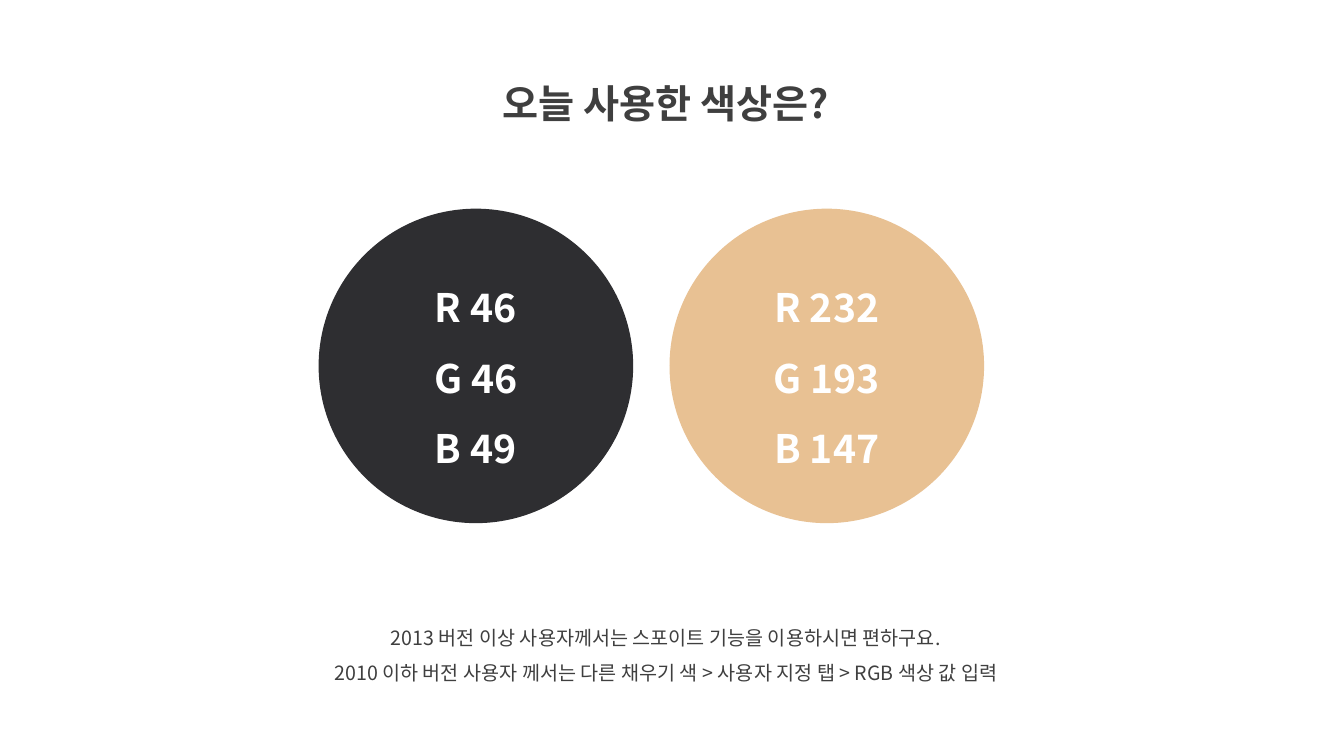
from lxml import etree
from pptx import Presentation
from pptx.dml.color import RGBColor
from pptx.enum.shapes import MSO_SHAPE
from pptx.enum.text import MSO_ANCHOR, PP_ALIGN
from pptx.oxml.ns import qn
from pptx.util import Inches, Pt

OVAL = MSO_SHAPE.OVAL
MIDDLE, TOP = MSO_ANCHOR.MIDDLE, MSO_ANCHOR.TOP
CENTER = PP_ALIGN.CENTER

FONT = "Noto Sans CJK KR"
COLORS = {"text": "3F3F3F", "white": "FFFFFF", "dark": "2E2E31", "sand": "E8C193"}
TITLE = "오늘 사용한 색상은?"
NOTES = [
    "2013 버전 이상 사용자께서는 스포이트 기능을 이용하시면 편하구요.",
    "2010 이하 버전 사용자 께서는 다른 채우기 색 > 사용자 지정 탭 > RGB 색상 값 입력",
]


def color(name):
    return RGBColor.from_string(COLORS[name])


def write_lines(shape, lines, size, color_name, bold=False, anchor=TOP):
    frame = shape.text_frame
    frame.word_wrap = True
    frame.vertical_anchor = anchor
    frame.text = "\n".join(lines)
    for paragraph in frame.paragraphs:
        paragraph.alignment = CENTER
        paragraph.line_spacing = 1.5
        for run in paragraph.runs:
            run.font.size = Pt(size)
            run.font.bold = bold
            run.font.color.rgb = color(color_name)
            run.font.name = FONT
            properties = run.font._element
            etree.SubElement(properties, qn("a:ea")).set("typeface", FONT)


def add_text(slide, box, lines, size, bold=False):
    textbox = slide.shapes.add_textbox(*map(Inches, box))
    write_lines(textbox, lines, size, "text", bold)


def add_swatches(slide, box, names):
    left, top, width, diameter = box
    step = (width - diameter) / (len(names) - 1)
    for index, name in enumerate(names):
        place = (left + index * step, top, diameter, diameter)
        circle = slide.shapes.add_shape(OVAL, *map(Inches, place))
        circle.shadow.inherit = False
        circle.fill.solid()
        circle.fill.fore_color.rgb = color(name)
        circle.line.fill.background()
        lines = [f"{channel} {value}" for channel, value in zip("RGB", color(name))]
        write_lines(circle, lines, 28, "white", True, MIDDLE)


def main():
    presentation = Presentation()
    presentation.slide_width = Inches(13.33)
    presentation.slide_height = Inches(7.5)
    slide = presentation.slides.add_slide(presentation.slide_layouts[6])
    add_text(slide, (4.29, 0.5, 4.63, 0.72), [TITLE], 28, True)
    add_text(slide, (2.61, 6.04, 7.99, 0.81), NOTES, 14)
    add_swatches(slide, (3.16, 2.07, 6.6, 3.12), ["dark", "sand"])
    presentation.save("out.pptx")


if __name__ == "__main__":
    main()
